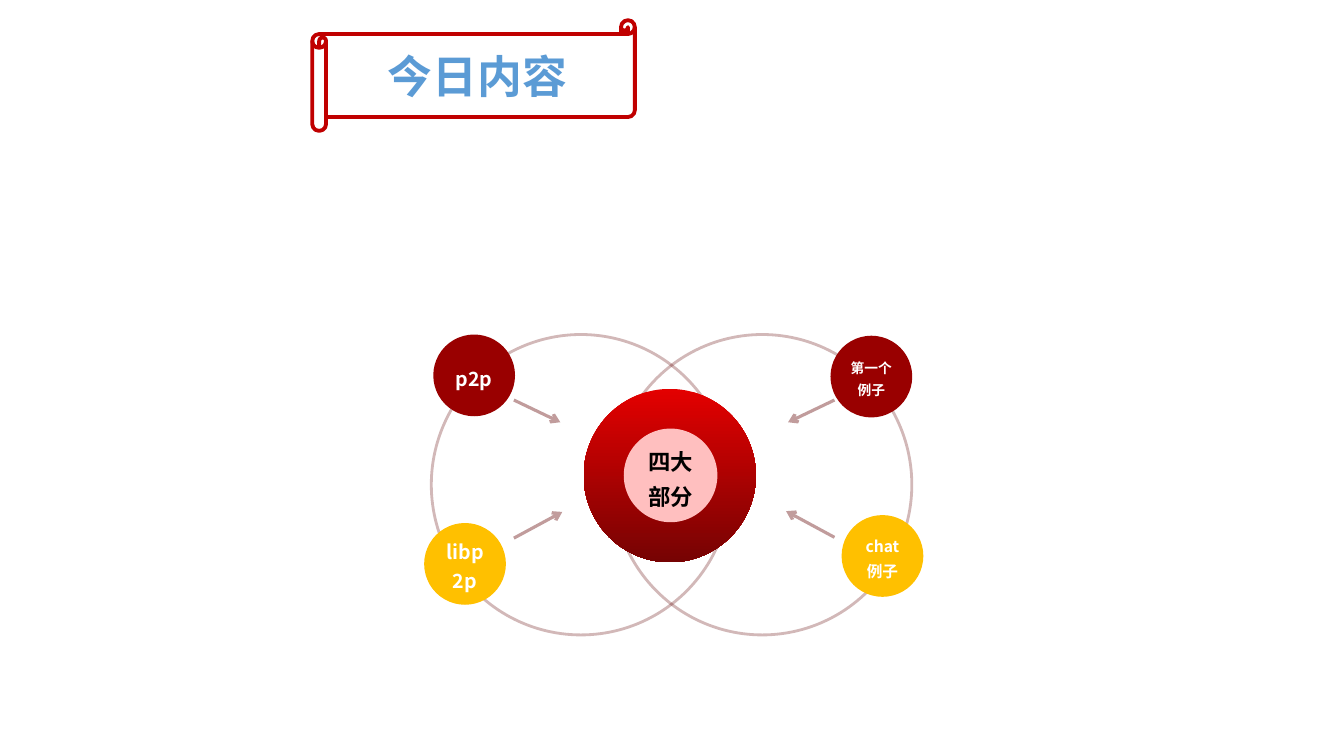
import pptx
import pptx.util
import pptx.oxml
import pptx.oxml.ns
import pptx.dml.color
import pptx.enum.shapes
import pptx.enum.text
from lxml import etree

Cm, Pt = pptx.util.Cm, pptx.util.Pt
RGB = pptx.dml.color.RGBColor.from_string
Preset = pptx.enum.shapes.MSO_SHAPE
Anchor = pptx.enum.text.MSO_ANCHOR
qn = pptx.oxml.ns.qn

THEME = {
    "font": "Noto Sans CJK SC",
    "title": "5B9BD5", "scroll": "C00000",
    "line": "600000", "core_top": "E30000", "core_bottom": "760303",
    "core_label": "FFBFBF", "dark": "000000", "light": "FFFFFF",
    "red": "990000", "amber": "FFC000",
    "title_size": 32, "core_size": 16, "topic_size": 14,
    "chat_size": 11.2, "example_size": 9.8,
}


def style_line(line, color, width, opacity=100):
    line.color.rgb = RGB(THEME[color])
    line.width = Pt(width)
    if opacity < 100:
        tint = line.fill._xPr.find(".//" + qn("a:srgbClr"))
        etree.SubElement(tint, qn("a:alpha"), val=str(opacity * 1000))


def write(frame, text, size, color, spacing=1.0):
    frame.text = text
    frame.word_wrap = True
    paragraph = frame.paragraphs[0]
    paragraph.alignment = pptx.enum.text.PP_ALIGN.CENTER
    paragraph.line_spacing = spacing
    font = paragraph.font
    font.name, font.size, font.bold = THEME["font"], Pt(THEME[size]), True
    font.color.rgb = RGB(THEME[color])
    # East Asian glyphs take their own typeface entry
    defaults = paragraph._p.pPr.find(qn("a:defRPr"))
    etree.SubElement(defaults, qn("a:ea"), typeface=THEME["font"])


deck = pptx.Presentation()
deck.slide_width, deck.slide_height = Cm(33.87), Cm(19.05)
slide = deck.slides.add_slide(deck.slide_layouts[5])
shapes = slide.shapes

# Title inside a scroll
title = shapes.title
title.left, title.top, title.width, title.height = Cm(8.36), Cm(1.09), Cm(7.34), Cm(1.63)
write(title.text_frame, "今日内容", "title_size", "title")
title.text_frame.vertical_anchor = Anchor.TOP

scroll = shapes.add_shape(Preset.HORIZONTAL_SCROLL, Cm(7.87), Cm(0.51), Cm(8.13), Cm(2.79))
scroll.shadow.inherit = False
scroll.fill.background()
style_line(scroll.line, "scroll", 2.75)

# Arrows pointing from the topics to the core
for x1, y1, x2, y2 in [
    (21.03, 13.54, 19.81, 12.88),
    (21.03, 10.08, 19.86, 10.64),
    (12.95, 10.08, 14.12, 10.64),
    (12.95, 13.56, 14.17, 12.9),
]:
    arrow = shapes.add_connector(
        pptx.enum.shapes.MSO_CONNECTOR.STRAIGHT, Cm(x1), Cm(y1), Cm(x2), Cm(y2))
    style_line(arrow.line, "line", 2.25, 39)
    etree.SubElement(arrow.line._get_or_add_ln(), qn("a:tailEnd"), type="arrow")
    etree.SubElement(arrow._element.spPr, qn("a:effectLst"))

# Two overlapping rings
for left in (10.87, 15.44):
    ring = shapes.add_shape(Preset.OVAL, Cm(left), Cm(8.43), Cm(7.54), Cm(7.57))
    ring.shadow.inherit = False
    ring.fill.background()
    style_line(ring.line, "line", 2, 28)

# Core disc, shaded from top to bottom
core = shapes.add_shape(Preset.OVAL, Cm(14.71), Cm(9.8), Cm(4.34), Cm(4.37))
core.shadow.inherit = False
core.line.fill.background()
core.fill.gradient()
core.fill.gradient_angle = 270
for stop, position, color in zip(core.fill.gradient_stops, (0, 1), ("core_top", "core_bottom")):
    stop.position = position
    stop.color.rgb = RGB(THEME[color])

# Core label and the four topics around it
for text, left, top, diameter, fill, size, color, spacing in [
    ("四大部分", 15.72, 10.8, 2.36, "core_label", "core_size", "dark", 1.3),
    ("p2p", 10.92, 8.43, 2.06, "red", "topic_size", "light", 1.3),
    ("第一个例子", 20.93, 8.46, 2.06, "red", "example_size", "light", 1.3),
    ("chat例子", 21.21, 12.98, 2.06, "amber", "chat_size", "light", 1.3),
    ("libp2p", 10.69, 13.18, 2.06, "amber", "topic_size", "light", 1.2),
]:
    topic = shapes.add_shape(Preset.OVAL, Cm(left), Cm(top), Cm(diameter), Cm(diameter))
    topic.shadow.inherit = False
    topic.fill.solid()
    topic.fill.fore_color.rgb = RGB(THEME[fill])
    topic.line.fill.background()
    frame = topic.text_frame
    frame.margin_left = frame.margin_right = Cm(0.18)
    frame.margin_top = frame.margin_bottom = 0
    frame.vertical_anchor = Anchor.MIDDLE
    write(frame, text, size, color, spacing)

deck.save("out.pptx")
